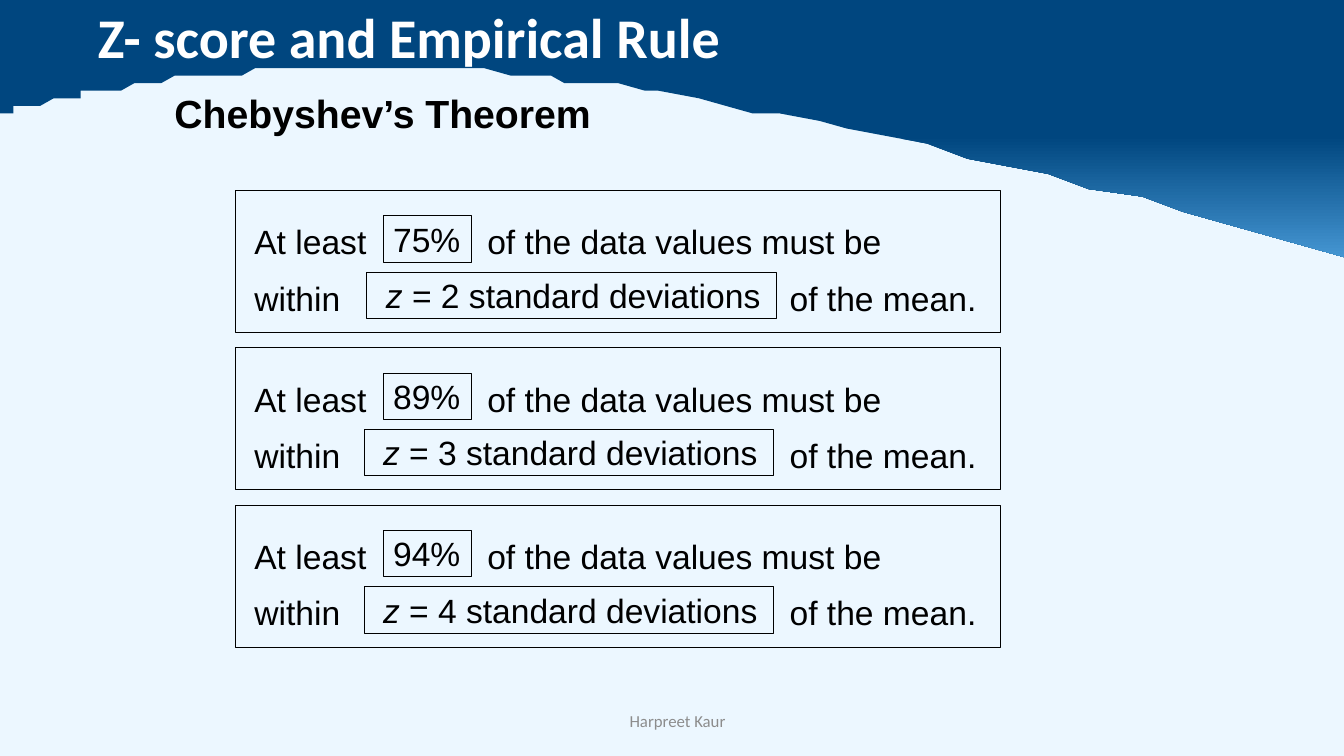
"""Build the Chebyshev's Theorem slide with three statement panels."""
from lxml.etree import SubElement
from pptx import Presentation
from pptx.dml.color import RGBColor
from pptx.enum.shapes import MSO_SHAPE
from pptx.enum.text import MSO_ANCHOR, PP_ALIGN
from pptx.oxml.ns import qn
from pptx.util import Inches, Pt

C = {"pale": "ECF7FF", "navy": "00467F", "sky": "4495D1",
     "black": "000000", "white": "FFFFFF", "grey": "8C8C8C"}
BODY = {"name": "Arial", "size": Pt(24)}

prs = Presentation()
prs.slide_width, prs.slide_height = Inches(13.333), Inches(7.5)
col, row = prs.slide_width / 100, prs.slide_height / 100
s = prs.slides.add_slide(prs.slide_layouts[6])
s.background.fill.solid()
s.background.fill.fore_color.rgb = RGBColor.from_string(C["pale"])


def add_box(x, y, w, h, framed=False, inset=0.75, anchor=MSO_ANCHOR.MIDDLE):
    """Add a text box or framed rectangle measured in columns and rows."""
    area = int(x * col), int(y * row), int(w * col), int(h * row)
    if framed:
        sp = s.shapes.add_shape(MSO_SHAPE.RECTANGLE, *area)
        sp.shadow.inherit = False
        sp.fill.solid()
        sp.fill.fore_color.rgb = RGBColor.from_string(C["pale"])
        sp.line.color.rgb = RGBColor.from_string(C["black"])
        sp.line.width = Pt(0.5)
    else:
        sp = s.shapes.add_textbox(*area)
    tf = sp.text_frame
    formats = {"word_wrap": True, "vertical_anchor": anchor,
               "margin_left": int(inset * col), "margin_right": 0}
    for key, value in formats.items():
        setattr(tf, key, value)
    return tf


def add_run(p, text, color="black", **formats):
    """Add one run of text with the given font values."""
    r = p.add_run()
    r.text = text
    r.font.color.rgb = RGBColor.from_string(C[color])
    for key, value in {**BODY, **formats}.items():
        setattr(r.font, key, value)


curves = [[(100, 33.5), (45.15, 6.53), (31.28, 8.53), (22.05, 9.07)],
          [(22.05, 9.07), (12.75, 9.6), (2.93, 13.73), (0.6, 14.67)],
          [(0.6, 14.67), (0.08, 14.93), (0.3, 14.67), (-0.08, 15.07)]]
steps = 40
wave = [(100, -0.13)]
for curve in curves:
    for i in range(steps + 1):
        t = i / steps
        weights = (1 - t) ** 3, 3 * t * (1 - t) ** 2, 3 * t * t * (1 - t), t ** 3
        wave.append(tuple(sum(k * pt[axis] for k, pt in zip(weights, curve))
                          for axis in (0, 1)))
fb = s.shapes.build_freeform(-0.08, -0.13, scale=(col, row))
fb.add_line_segments(wave, close=True)
banner = fb.convert_to_shape()
banner.shadow.inherit = False
banner.line.fill.background()
banner.fill.gradient()
for stop, (pos, name) in zip(banner.fill.gradient_stops, [(0, "sky"), (0.94, "navy")]):
    stop.position = pos
    stop.color.rgb = RGBColor.from_string(C[name])
grad = banner._element.spPr.find(qn("a:gradFill"))
grad.remove(grad.find(qn("a:lin")))
focus = SubElement(grad, qn("a:path"), {"path": "rect"})
SubElement(focus, qn("a:fillToRect"), {"l": "100000", "t": "100000"})

p = add_box(33.16, 92.67, 33.76, 5.33).paragraphs[0]
p.alignment = PP_ALIGN.CENTER
add_run(p, "Harpreet Kaur", "grey", name="Calibri", size=Pt(12))

p = add_box(6.53, 1.33, 62, 9.33, anchor=MSO_ANCHOR.TOP).paragraphs[0]
p.line_spacing = 0.8
add_run(p, "Z- score and Empirical Rule", "white", name="Calibri", size=Pt(40), bold=True)

lines = [("At least\tof the data values must be", 17.33),
         ("within\tof the mean.", 39.83)]
rules = [("75%", 2, 27.3), ("89%", 3, 27.08), ("94%", 4, 27.08)]
for i, (share, z, left) in enumerate(rules):
    top = 25.2 + 20.8 * i
    tf = add_box(17.55, top, 56.86, 18.8, framed=True, inset=1.38)
    for j, (text, stop) in enumerate(lines):
        p = tf.add_paragraph() if j else tf.paragraphs[0]
        p.alignment, p.line_spacing = PP_ALIGN.LEFT, 1.4
        tabs = SubElement(p._p.get_or_add_pPr(), qn("a:tabLst"))
        SubElement(tabs, qn("a:tab"), {"pos": str(int(stop * col)), "algn": "l"})
        add_run(p, text)
    p = add_box(28.5, top + 3.33, 6.6, 6.13, framed=True).paragraphs[0]
    p.alignment = PP_ALIGN.LEFT
    add_run(p, share)
    p = add_box(left, top + 10.8, 30.46, 6.13, framed=True, inset=1.42).paragraphs[0]
    p.alignment = PP_ALIGN.LEFT
    add_run(p, "z", italic=True)
    add_run(p, f" = {z} standard deviations")

p = add_box(12.23, 11.87, 34.8, 9.47, anchor=MSO_ANCHOR.TOP).paragraphs[0]
p.line_spacing = 0.9
add_run(p, "Chebyshev’s Theorem", size=Pt(28), bold=True)

prs.save("out.pptx")
